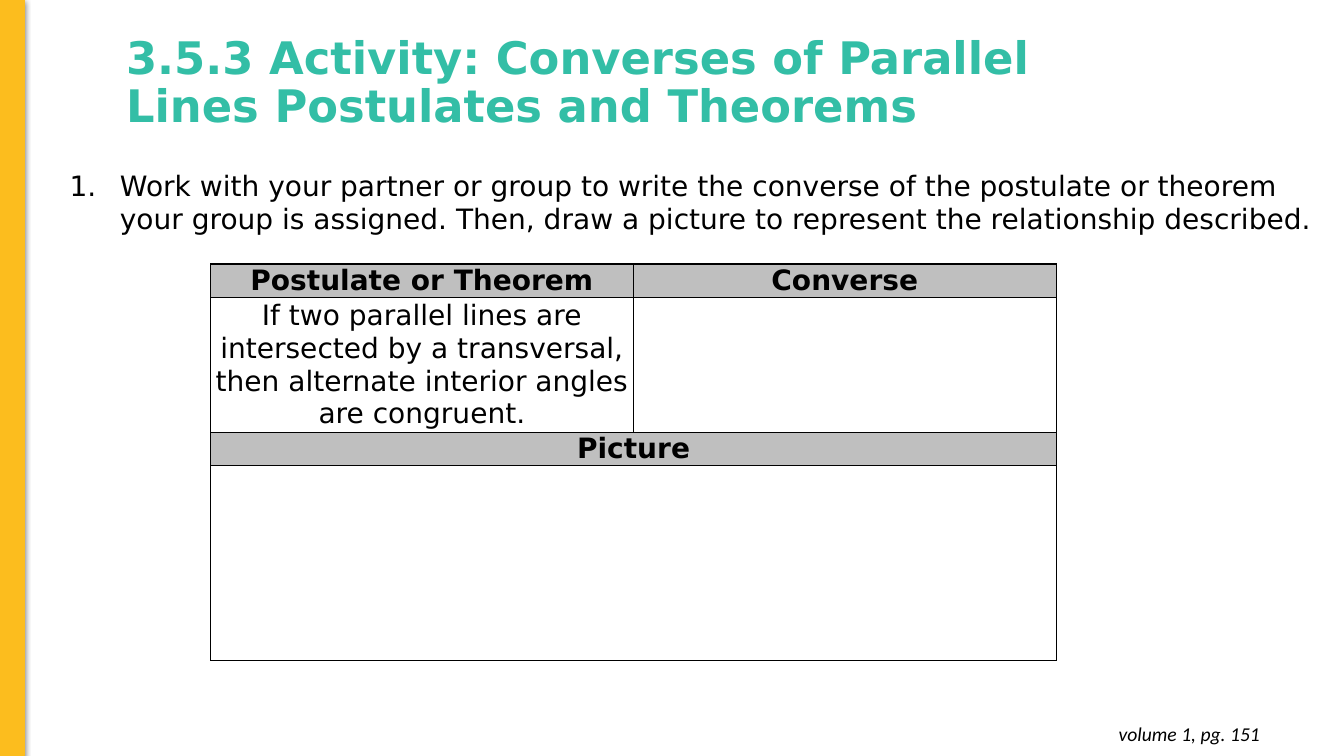
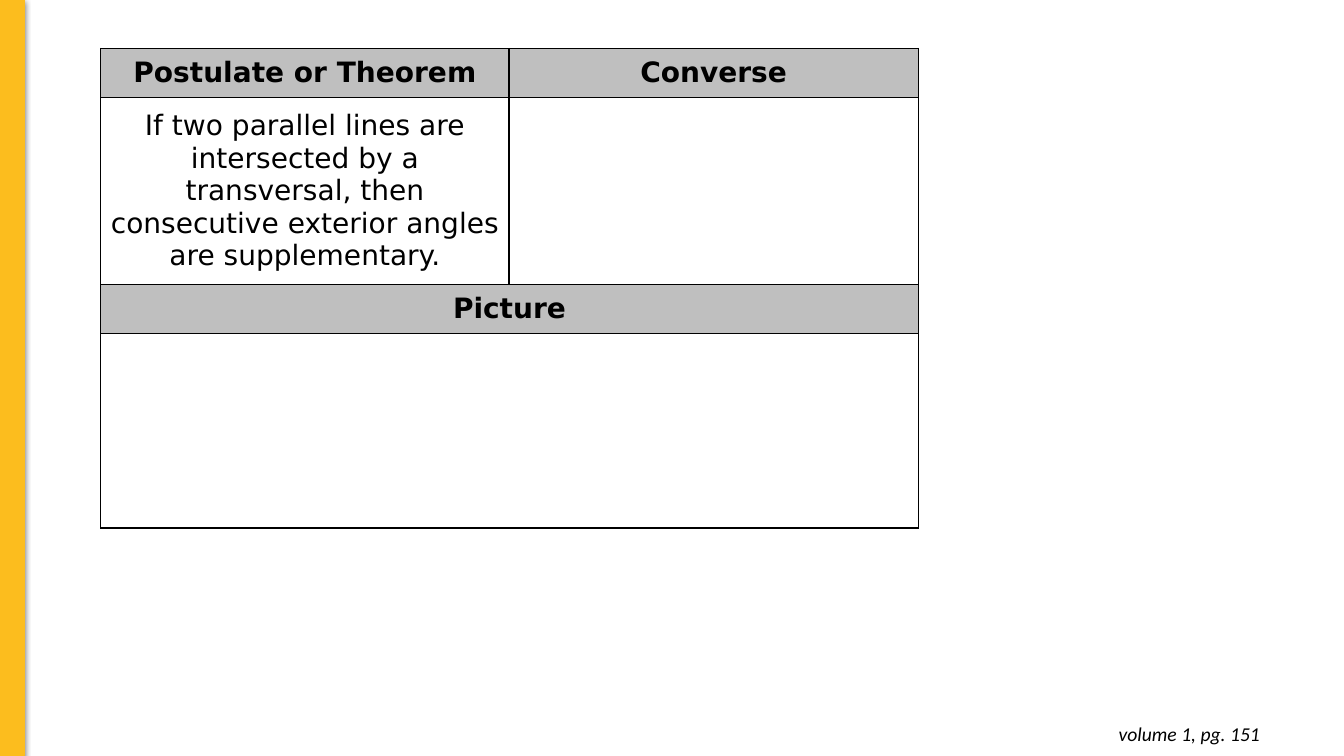
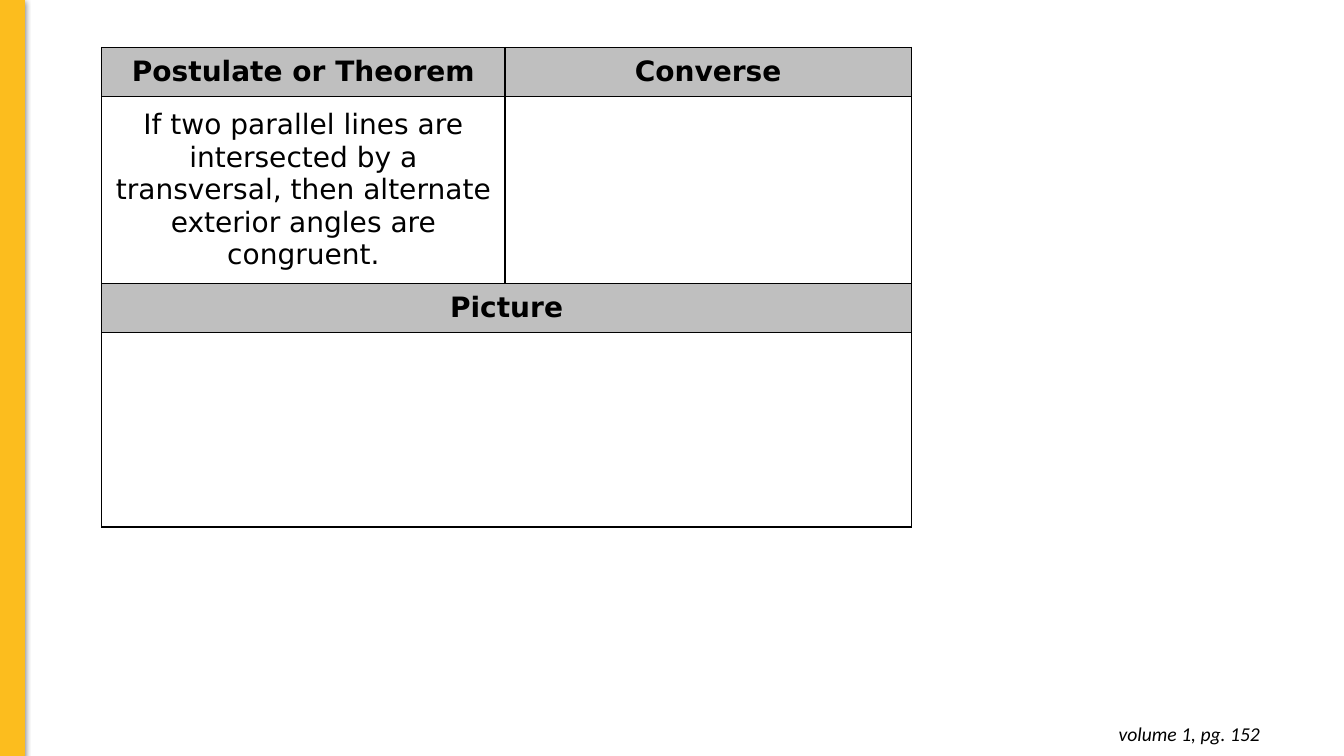
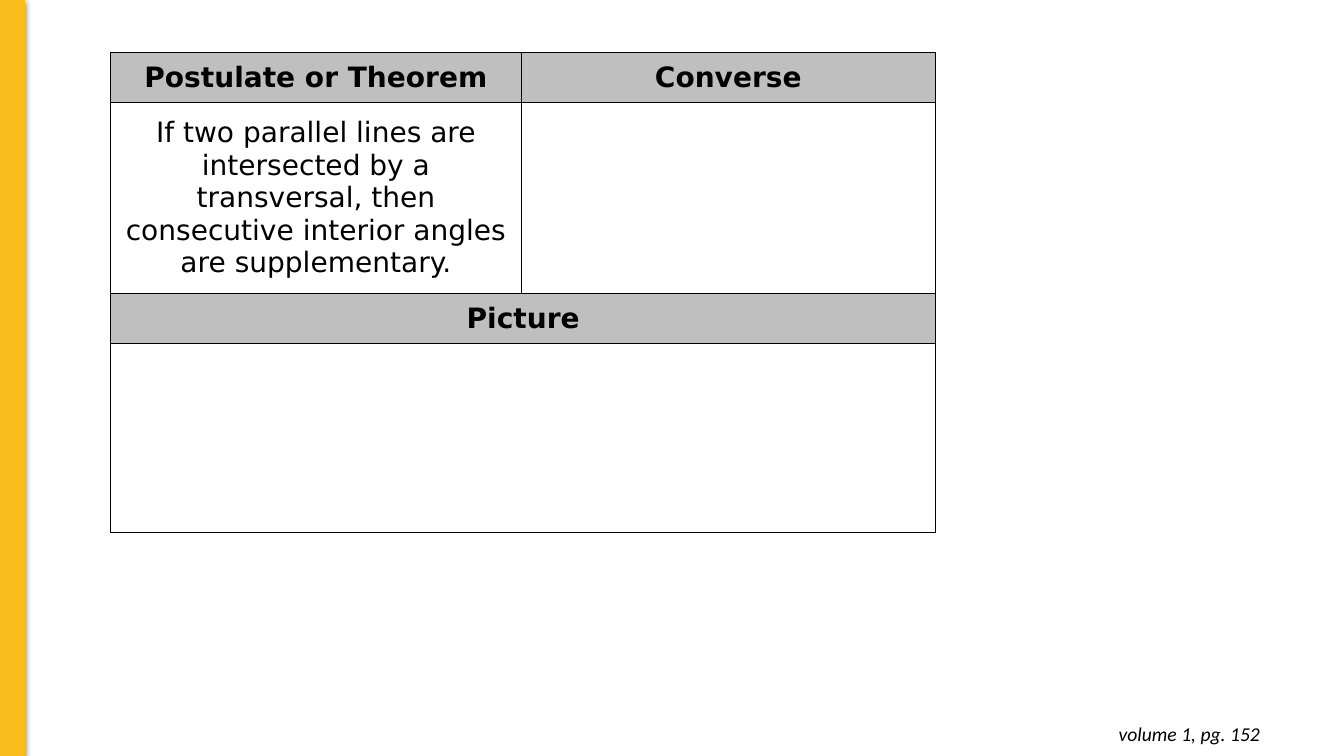
import pptx
import pptx.dml.color
import pptx.enum.shapes
import pptx.enum.text
import pptx.oxml
import pptx.oxml.ns
import pptx.util
from lxml import etree

# Shared colours and fonts
TEAL = pptx.dml.color.RGBColor(0x33, 0xBE, 0xA6)
YELLOW = pptx.dml.color.RGBColor(0xFC, 0xBD, 0x1E)
GREY = pptx.dml.color.RGBColor(0xBF, 0xBF, 0xBF)
BLACK = pptx.dml.color.RGBColor(0, 0, 0)
MAIN_FONT = "DejaVu Sans"
FOOTER_FONT = "Calibri"

ALIGN = pptx.enum.text.PP_ALIGN
ANCHOR = pptx.enum.text.MSO_ANCHOR
FIT = pptx.enum.text.MSO_AUTO_SIZE
qn = pptx.oxml.ns.qn

TITLE_AND_CONTENT, BLANK = 1, 6


class Lesson:
    """Holds the deck, its style and the current page; lengths are percent of the slide."""

    def __init__(self):
        self.deck = pptx.Presentation()
        self.deck.slide_width = pptx.util.Inches(13.33)
        self.deck.slide_height = pptx.util.Inches(7.5)
        self.page = None

    def across(self, percent):
        return round(self.deck.slide_width * percent / 100)

    def down(self, percent):
        return round(self.deck.slide_height * percent / 100)

    def area(self, left, top, width, height):
        return self.across(left), self.down(top), self.across(width), self.down(height)

    def start_page(self, layout, footer):
        self.page = self.deck.slides.add_slide(self.deck.slide_layouts[layout])
        self.footer(footer)
        self.side_band()

    def add_span(self, para, text, size=20, color=BLACK, font=MAIN_FONT, bold=False, italic=False):
        span = para.add_run()
        span.text = text
        span.font.size = pptx.util.Pt(size)
        span.font.name = font
        span.font.color.rgb = color
        span.font.bold = bold
        span.font.italic = italic

    def place(self, box, left, top, width, height):
        box.left, box.top, box.width, box.height = self.area(left, top, width, height)

    def title(self, text):
        box = self.page.shapes.title
        self.place(box, 8.63, 1.47, 77.03, 19.33)
        frame = box.text_frame
        frame.auto_size = FIT.NONE
        frame.vertical_anchor = ANCHOR.MIDDLE
        para = frame.paragraphs[0]
        para.alignment = ALIGN.LEFT
        para.line_spacing = 0.9
        self.add_span(para, text, size=32, color=TEAL, bold=True)

    def numbered_task(self, text):
        box = self.page.placeholders[1]
        self.place(box, 4.42, 21.6, 94.65, 10.27)
        frame = box.text_frame
        frame.auto_size = FIT.NONE
        para = frame.paragraphs[0]
        # Hanging number
        props = para._p.get_or_add_pPr()
        hang = pptx.util.Inches(0.5)
        props.set("marL", str(hang))
        props.set("indent", str(-hang))
        number_color = etree.SubElement(props, qn("a:buClr"))
        etree.SubElement(number_color, qn("a:srgbClr"), val=str(BLACK))
        etree.SubElement(props, qn("a:buFont"), typeface=MAIN_FONT)
        etree.SubElement(props, qn("a:buAutoNum"), type="arabicPeriod")
        para.space_before = pptx.util.Pt(0)
        self.add_span(para, text)

    def footer(self, text):
        box = self.page.shapes.add_textbox(*self.area(72.9, 94.1, 21.6, 5.87))
        frame = box.text_frame
        frame.word_wrap = True
        frame.margin_top = frame.margin_bottom = pptx.util.Inches(0.1)
        para = frame.paragraphs[0]
        para.alignment = ALIGN.RIGHT
        self.add_span(para, text, size=14, font=FOOTER_FONT, italic=True)

    def side_band(self):
        band = self.page.shapes.add_shape(
            pptx.enum.shapes.MSO_SHAPE.RECTANGLE, *self.area(0, 0, 1.8, 100))
        band.fill.solid()
        band.fill.fore_color.rgb = YELLOW
        band.line.color.rgb = YELLOW
        band.line.width = pptx.util.Pt(0.75)
        # Soft shadow below the band
        band.shadow.inherit = False
        effects = band._element.spPr.find(qn("a:effectLst"))
        shadow = etree.SubElement(
            effects, qn("a:outerShdw"), blurRad=str(pptx.util.Pt(4.5)),
            dist=str(pptx.util.Pt(1.5)), dir="5400000", rotWithShape="0")
        shade = etree.SubElement(shadow, qn("a:srgbClr"), val=str(BLACK))
        etree.SubElement(shade, qn("a:alpha"), val="50000")

    def cell_borders(self, cell):
        props = cell._tc.get_or_add_tcPr()
        for side in ("lnL", "lnR", "lnT", "lnB"):
            line = etree.SubElement(props, qn("a:" + side), w=str(pptx.util.Pt(1)))
            fill = etree.SubElement(line, qn("a:solidFill"))
            etree.SubElement(fill, qn("a:srgbClr"), val=str(BLACK))

    def converse_table(self, theorem, left, top, columns, rows, inset=0.06):
        table = self.page.shapes.add_table(
            len(rows), len(columns), *self.area(left, top, sum(columns), sum(rows))).table
        table.first_row = table.horz_banding = False
        for column, width in zip(table.columns, columns):
            column.width = self.across(width)
        for row, height in zip(table.rows, rows):
            row.height = self.down(height)
        # Heading rows alternate with answer rows
        texts = [["Postulate or Theorem", "Converse"], [theorem, ""], ["Picture", ""], ["", ""]]
        for r, row_texts in enumerate(texts):
            heading = r % 2 == 0
            for c, text in enumerate(row_texts):
                cell = table.cell(r, c)
                self.cell_borders(cell)
                cell.margin_left = cell.margin_right = pptx.util.Inches(inset)
                cell.margin_top = cell.margin_bottom = 0
                cell.vertical_anchor = ANCHOR.MIDDLE
                if heading:
                    cell.fill.solid()
                    cell.fill.fore_color.rgb = GREY
                else:
                    cell.fill.background()
                if text:
                    para = cell.text_frame.paragraphs[0]
                    para.alignment = ALIGN.CENTER
                    self.add_span(para, text, bold=heading)
        for r in (2, 3):
            table.cell(r, 0).merge(table.cell(r, 1))


def main():
    lesson = Lesson()
    opening = "If two parallel lines are intersected by a transversal, then "
    rows = (6.53, 24.67, 6.53, 25.73)

    # Activity page
    lesson.start_page(TITLE_AND_CONTENT, "volume 1, pg. 151")
    lesson.title("3.5.3 Activity: Converses of Parallel Lines Postulates and Theorems")
    lesson.numbered_task(
        "Work with your partner or group to write the converse of the postulate or theorem "
        "your group is assigned. Then, draw a picture to represent the relationship described.")
    lesson.converse_table(opening + "alternate interior angles are congruent.",
                          15.68, 34.93, (31.43, 31.5), (4.44, 17.8, 4.44, 25.73), inset=0.04)

    # Pages with a table only
    table_pages = [
        (151, "consecutive exterior angles are supplementary.", 7.5, 6.4, (30.38, 30.45), rows),
        (152, "alternate exterior angles are congruent.", 7.58, 6.27, (30, 30.23), rows),
        (152, "consecutive interior angles are supplementary.", 8.25, 6.93, (30.53, 30.83),
         (6.67, 25.2, 6.67, 24.93)),
    ]
    for number, ending, left, top, columns, heights in table_pages:
        lesson.start_page(BLANK, f"volume 1, pg. {number}")
        lesson.converse_table(opening + ending, left, top, columns, heights)

    lesson.deck.save("out.pptx")


if __name__ == "__main__":
    main()
